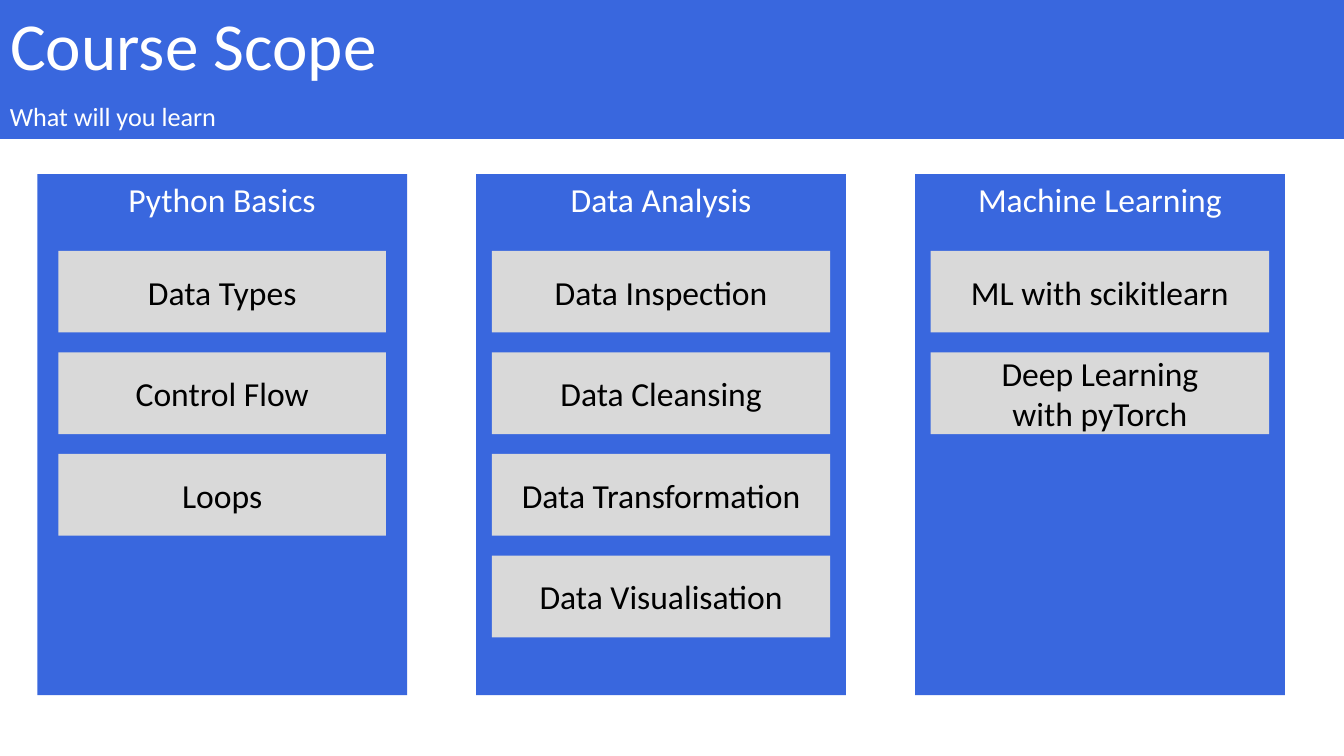
from dataclasses import dataclass

from pptx import Presentation
from pptx.dml.color import RGBColor
from pptx.enum.shapes import MSO_SHAPE
from pptx.enum.text import MSO_ANCHOR, MSO_AUTO_SIZE, PP_ALIGN
from pptx.util import Cm, Pt


@dataclass(frozen=True)
class Theme:
    """Colours, font and type sizes of the deck."""
    blue: str = "3967DE"
    grey: str = "D9D9D9"
    white: str = "FFFFFF"
    black: str = "000000"
    font: str = "Calibri"
    title: float = 48
    subtitle: float = 18.7
    label: float = 24


@dataclass(frozen=True)
class Box:
    """A rectangle in centimetres."""
    left: float
    top: float
    width: float
    height: float


THEME = Theme()
COLUMNS = [
    ("Python Basics", 8.25, ["Data Types", "Control Flow", "Loops"]),
    ("Data Analysis", 8.53, ["Data Inspection", "Data Cleansing",
                             "Data Transformation", "Data Visualisation"]),
    ("Machine Learning", 8.53, ["ML with scikitlearn", "Deep Learning\nwith pyTorch"]),
]


def place(shape, box):
    """Move and size a shape to its box."""
    shape.left, shape.top = Cm(box.left), Cm(box.top)
    shape.width, shape.height = Cm(box.width), Cm(box.height)


def paint(shape, color):
    """Give a shape a plain fill."""
    shape.fill.solid()
    shape.fill.fore_color.rgb = RGBColor.from_string(color)


def write(shape, text, size=THEME.label, color=THEME.white, align=PP_ALIGN.CENTER,
          anchor=MSO_ANCHOR.MIDDLE, line_spacing=None, space_before=0):
    """Fill a shape with formatted text, one paragraph a line."""
    frame = shape.text_frame
    frame.text = text
    frame.word_wrap = True
    frame.auto_size = MSO_AUTO_SIZE.NONE
    frame.vertical_anchor = anchor
    for para in frame.paragraphs:
        para.alignment = align
        para.line_spacing = line_spacing
        para.space_before = Pt(space_before)
        for span in para.runs:
            span.font.name = THEME.font
            span.font.size = Pt(size)
            span.font.color.rgb = RGBColor.from_string(color)


def add_panel(page, box, color):
    """Add a plain rectangle without outline or shadow."""
    panel = page.shapes.add_shape(MSO_SHAPE.RECTANGLE, 0, 0, 0, 0)
    panel.shadow.inherit = False
    panel.line.fill.background()
    place(panel, box)
    paint(panel, color)
    return panel


def add_header(page, box, title, subtitle):
    """Place the title band and the subtitle band below it."""
    title_height = 0.7 * box.height
    style = dict(align=PP_ALIGN.LEFT, line_spacing=0.9, space_before=10)
    heading = page.shapes.title
    place(heading, Box(box.left, box.top, box.width, title_height))
    paint(heading, THEME.blue)
    write(heading, title, size=THEME.title, **style)
    band = add_panel(page, Box(box.left, box.top + title_height, box.width,
                               box.height - title_height), THEME.blue)
    write(band, subtitle, size=THEME.subtitle, **style)


def add_column(page, box, heading, card_width, topics):
    """Place a headed column with its stack of topic cards."""
    column = add_panel(page, box, THEME.blue)
    write(column, heading, anchor=MSO_ANCHOR.TOP)
    first, pitch, height = 1.93, 2.56, 2.06
    left = box.left + (box.width - card_width) / 2
    for index, topic in enumerate(topics):
        top = box.top + first + index * pitch
        card = add_panel(page, Box(left, top, card_width, height), THEME.grey)
        write(card, topic, color=THEME.black)


def add_scope_page(deck, box):
    """Build the course scope page."""
    page = deck.slides.add_slide(deck.slide_layouts[5])
    add_header(page, Box(box.left, box.top, box.width, 3.5),
               "Course Scope", "What will you learn")
    for index, content in enumerate(COLUMNS):
        left = box.left + 0.94 + index * 11.06
        add_column(page, Box(left, box.top + 4.39, 9.32, 13.13), *content)


def main():
    """Create and save the deck."""
    deck = Presentation()
    page_box = Box(0, 0, 33.87, 19.05)
    deck.slide_width, deck.slide_height = Cm(page_box.width), Cm(page_box.height)
    add_scope_page(deck, page_box)
    deck.save("out.pptx")


main()
